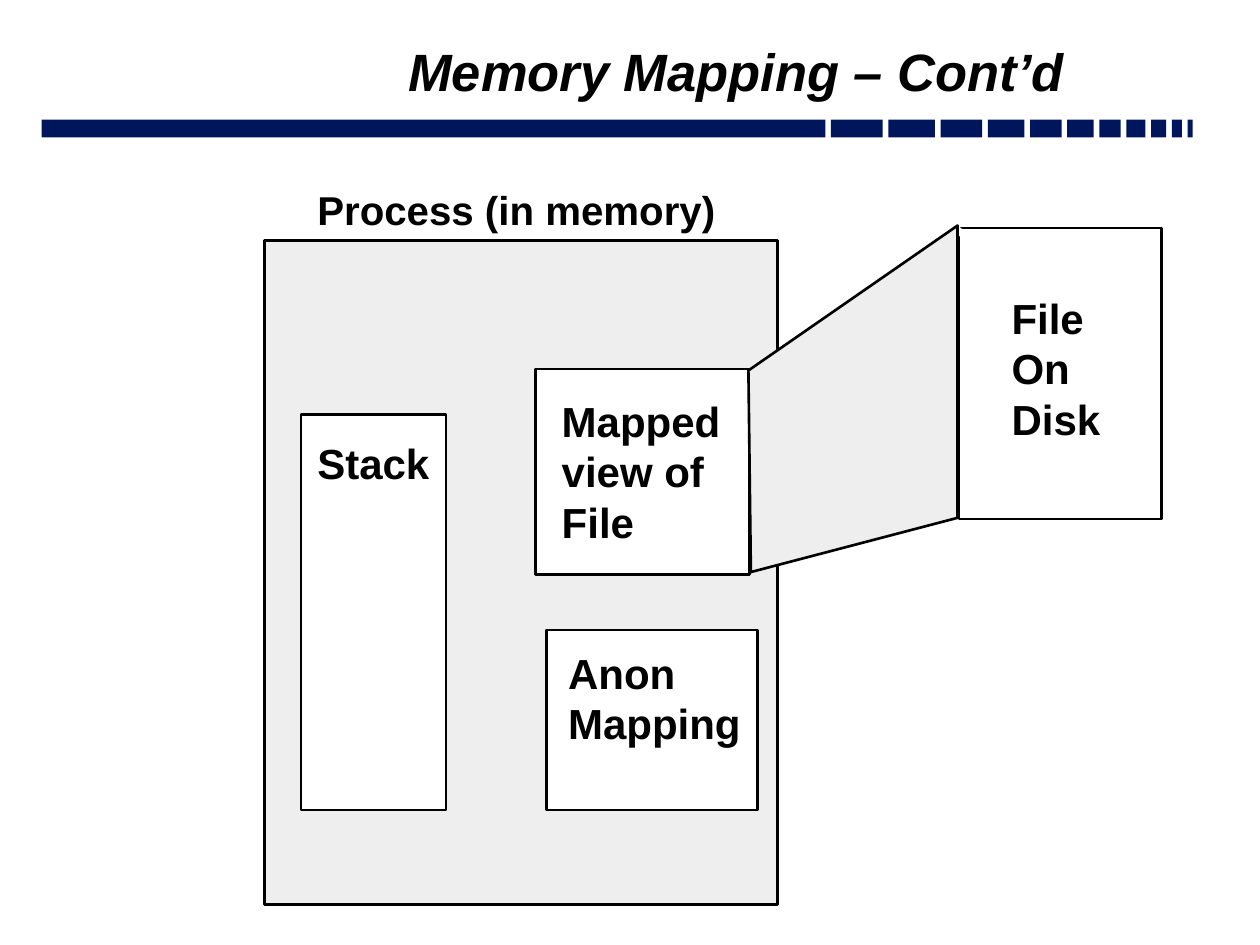
"""Build the memory mapping slide: a process in memory and a file on disk."""
from lxml.etree import SubElement
from pptx import Presentation
from pptx.dml.color import RGBColor
from pptx.enum.shapes import MSO_CONNECTOR, MSO_SHAPE
from pptx.enum.text import MSO_ANCHOR, PP_ALIGN
from pptx.oxml.ns import qn
from pptx.util import Inches, Pt

COLORS = {"navy": "00165C", "gray": "EEEEEE", "white": "FFFFFF", "black": "000000"}
FONT = "Arial"

TITLE = ("Memory Mapping – Cont’d", (3.08, 0.12, 5.53, 0.72))
BAR_LEFT, BAR_TOP, BAR_HEIGHT, BAR_GAP = 0.33, 0.95, 0.14, 0.045
BAR_WIDTHS = [6.22, 0.41, 0.37, 0.33, 0.29, 0.25, 0.21, 0.17, 0.15, 0.12, 0.08, 0.04]

PROCESS_LABEL = (["Process (in memory)"], (2.42, 1.42, 3.43, 0.49), 23)
REGIONS = [
    ("gray", (2.1, 1.91, 4.07, 5.27)),
    ("white", (2.39, 3.29, 1.15, 3.14)),
    ("white", (4.25, 2.93, 1.7, 1.63)),
    ("white", (4.34, 5, 1.67, 1.43)),
    ("white", (7.61, 1.81, 1.61, 2.31)),
]
CORNER_ARROW = (7.61, 1.81, 7.6, 1.79)
PROJECTION = [(7.6, 1.79), (5.94, 2.94), (5.96, 4.54), (7.6, 4.11)]
REGION_LABELS = [
    (["Stack"], (2.42, 3.42, 1.13, 0.5), 24),
    (["Mapped view of File"], (4.36, 3.09, 1.59, 1.31), 24),
    (["File", "On", "Disk"], (7.93, 2.27, 1.09, 1.31), 24),
    (["Anon", "Mapping"], (4.41, 5.09, 1.59, 0.91), 24),
]


def color(name):
    return RGBColor.from_string(COLORS[name])


def paint(shape, fill, outline=None):
    shape.shadow.inherit = False
    shape.fill.solid()
    shape.fill.fore_color.rgb = color(fill)
    if outline:
        shape.line.color.rgb = color(outline)
        shape.line.width = Pt(1.5)
    else:
        shape.line.fill.background()


def add_rectangle(slide, box, fill, outline=None):
    rectangle = slide.shapes.add_shape(MSO_SHAPE.RECTANGLE, *map(Inches, box))
    paint(rectangle, fill, outline)


def add_label(slide, lines, box, size, italic=False):
    frame = slide.shapes.add_textbox(*map(Inches, box)).text_frame
    frame.word_wrap = True
    frame.text = "\n".join(lines)
    for paragraph in frame.paragraphs:
        font = paragraph.font
        font.name, font.size = FONT, Pt(size)
        font.bold, font.italic = True, italic
        font.color.rgb = color("black")
    return frame


def add_title(slide):
    text, box = TITLE
    frame = add_label(slide, [text], box, 30, italic=True)
    frame.vertical_anchor = MSO_ANCHOR.BOTTOM
    frame.margin_left = frame.margin_right = Inches(0.09)
    frame.margin_top = frame.margin_bottom = Inches(0.04)
    frame.paragraphs[0].alignment = PP_ALIGN.CENTER
    frame.paragraphs[0].line_spacing = 0.7


def add_bars(slide):
    left = BAR_LEFT
    for width in BAR_WIDTHS:
        add_rectangle(slide, (left, BAR_TOP, width, BAR_HEIGHT), "navy")
        left += width + BAR_GAP


def add_corner_arrow(slide):
    arrow = slide.shapes.add_connector(MSO_CONNECTOR.ELBOW, *map(Inches, CORNER_ARROW))
    arrow.line.color.rgb = color("white")
    arrow.line.width = Pt(0.75)
    SubElement(arrow.line._get_or_add_ln(), qn("a:tailEnd"), type="triangle")
    SubElement(arrow._element.spPr, qn("a:effectLst"))


def add_projection(slide):
    start, *others = [(Inches(x), Inches(y)) for x, y in PROJECTION]
    builder = slide.shapes.build_freeform(*start)
    builder.add_line_segments(others, close=True)
    paint(builder.convert_to_shape(), "gray", "black")


def main():
    deck = Presentation()
    deck.slide_width, deck.slide_height = Inches(10), Inches(7.5)
    slide = deck.slides.add_slide(deck.slide_layouts[6])
    add_bars(slide)
    add_title(slide)
    add_label(slide, *PROCESS_LABEL)
    for fill, box in REGIONS:
        add_rectangle(slide, box, fill, "black")
    add_corner_arrow(slide)
    add_projection(slide)
    for label in REGION_LABELS:
        add_label(slide, *label)
    deck.save("out.pptx")


if __name__ == "__main__":
    main()
